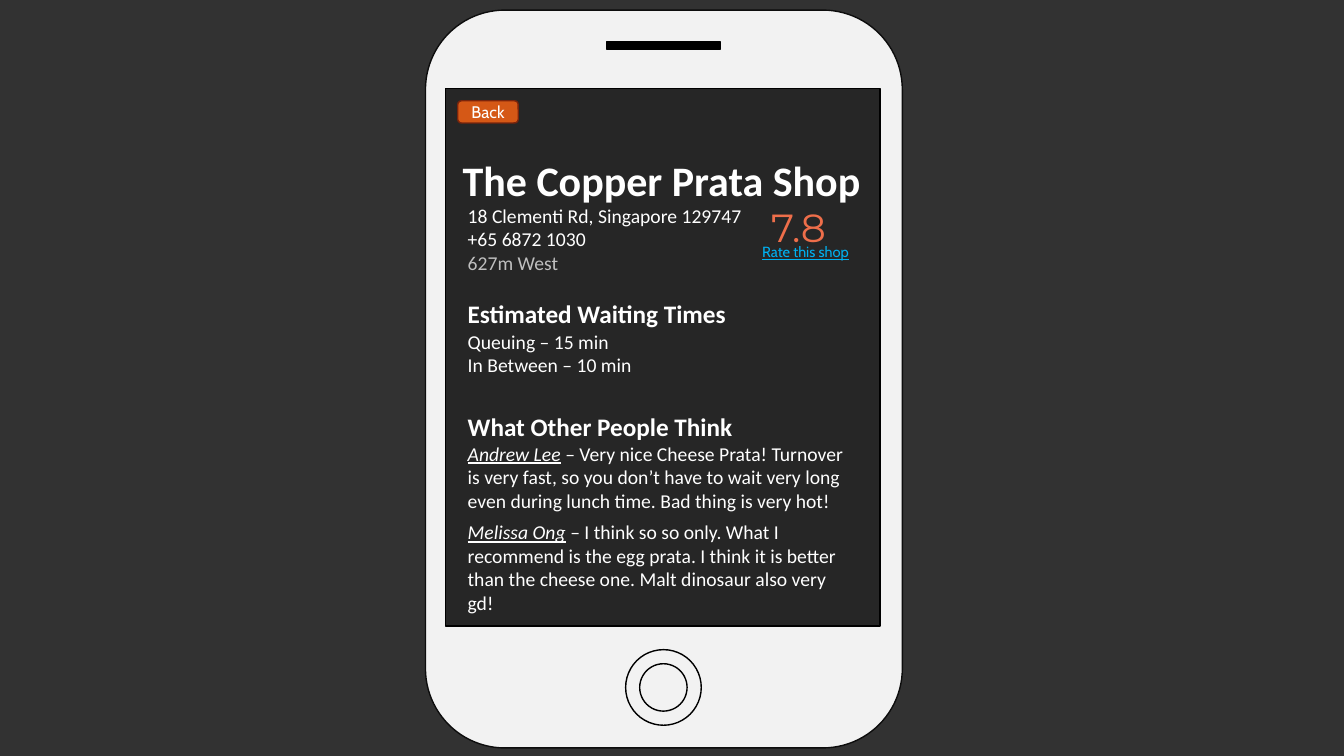
from pptx import Presentation as Deck
from pptx.dml.color import RGBColor as Rgb
from pptx.enum.shapes import MSO_SHAPE as Kind
from pptx.enum.text import MSO_ANCHOR as Anchor, MSO_AUTO_SIZE as Fit, PP_ALIGN as Align
from pptx.util import Inches, Pt

HUES = {
    "back": "323232", "body": "F2F2F2", "edge": "0D0D0D", "screen": "262626",
    "black": "000000", "white": "FFFFFF", "gray": "BFBFBF", "rust": "D55816",
    "brown": "7A240B", "coral": "EE6E4A", "blue": "00B0F0",
}

# Text formats
PLAIN = {"name": "Calibri", "size": Pt(14)}
NAME = {**PLAIN, "italic": True, "underline": True}
TITLE = {**PLAIN, "size": Pt(30), "bold": True}
HEAD = {**TITLE, "size": Pt(18)}
LABEL = {"name": "Cabin", "size": Pt(12)}
LINK = {**LABEL, "size": Pt(10.5), "underline": True}
SCORE = {"name": "Montserrat", "size": Pt(28)}

LEFT, WIDE = 4.54, 4.05


def hue(key):
    return Rgb.from_string(HUES[key])


def add_run(para, words, form, color="white"):
    run = para.add_run()
    run.text = words
    for key, value in form.items():
        setattr(run.font, key, value)
    run.font.color.rgb = hue(color)


def add_part(slide, kind, box, fill, line="black"):
    part = slide.shapes.add_shape(kind, *map(Inches, box))
    part.shadow.inherit = False
    part.fill.solid()
    part.fill.fore_color.rgb = hue(fill)
    part.line.color.rgb = hue(line)
    part.line.width = Pt(1)
    return part


def add_ring(slide, mid, size):
    x, y = mid
    add_part(slide, Kind.OVAL, (x - size / 2, y - size / 2, size, size), "body")


def add_text(slide, box, lines, wrap=False, align=Align.LEFT):
    """Each line is a list of (words, format[, color]) runs."""
    frame = slide.shapes.add_textbox(*map(Inches, box)).text_frame
    frame.word_wrap = wrap
    frame.auto_size = Fit.SHAPE_TO_FIT_TEXT
    for i, runs in enumerate(lines):
        para = frame.add_paragraph() if i else frame.paragraphs[0]
        para.alignment = align
        for run in runs:
            add_run(para, *run)


def add_phone(slide):
    add_part(slide, Kind.ROUNDED_RECTANGLE, (4.22, 0.1, 4.73, 7.32), "body", "edge")
    add_part(slide, Kind.RECTANGLE, (4.42, 0.88, 4.31, 5.33), "screen")
    add_part(slide, Kind.RECTANGLE, (6.02, 0.41, 1.12, 0.08), "black")
    for size in (0.75, 0.47):
        add_ring(slide, (6.58, 6.82), size)


def add_button(slide, box, words):
    part = add_part(slide, Kind.ROUNDED_RECTANGLE, box, "rust", "brown")
    frame = part.text_frame
    frame.vertical_anchor = Anchor.MIDDLE
    para = frame.paragraphs[0]
    para.alignment = Align.CENTER
    add_run(para, words, LABEL)


def add_shop(slide):
    add_text(slide, (4.49, 1.48, 4.18, 0.61), [[("The Copper Prata Shop", TITLE)]])
    add_text(slide, (LEFT, 1.97, WIDE, 0.81), [
        [("18 Clementi Rd, Singapore 129747", PLAIN)],
        [("+65 6872 1030", PLAIN)],
        [("627m West", PLAIN, "gray")],
    ], wrap=True)
    add_text(slide, (7.55, 1.97, 0.86, 0.57), [[("7.8", SCORE, "coral")]])
    add_text(slide, (7.46, 2.36, 1.06, 0.28), [[("Rate this shop", LINK, "blue")]],
             align=Align.CENTER)


def add_times(slide):
    add_text(slide, (LEFT, 2.91, 2.79, 0.4), [[("Estimated Waiting Times", HEAD)]])
    add_text(slide, (LEFT, 3.22, 1.84, 0.57), [
        [("Queuing – 15 min", PLAIN)],
        [("In Between – 10 min", PLAIN)],
    ])


def add_views(slide):
    add_text(slide, (LEFT, 4.03, 2.91, 0.4), [[("What Other People Think", HEAD)]])
    views = [
        ("Andrew Lee", "Very nice Cheese Prata! Turnover is very fast, so you don’t "
         "have to wait very long even during lunch time. Bad thing is very hot!"),
        ("Melissa Ong", "I think so so only. What I recommend is the egg prata. I think "
         "it is better than the cheese one. Malt dinosaur also very gd!"),
    ]
    for i, (name, view) in enumerate(views):
        add_text(slide, (LEFT, 4.33 + 0.78 * i, WIDE, 0.81),
                 [[(name, NAME), (" – " + view, PLAIN)]], wrap=True)


def main():
    deck = Deck()
    deck.slide_width, deck.slide_height = Inches(13.33), Inches(7.5)
    slide = deck.slides.add_slide(deck.slide_layouts[6])
    slide.background.fill.solid()
    slide.background.fill.fore_color.rgb = hue("back")
    # Handset
    add_phone(slide)
    # Screen content
    add_button(slide, (LEFT, 1, 0.6, 0.22), "Back")
    add_shop(slide)
    add_times(slide)
    add_views(slide)
    deck.save("out.pptx")


main()
